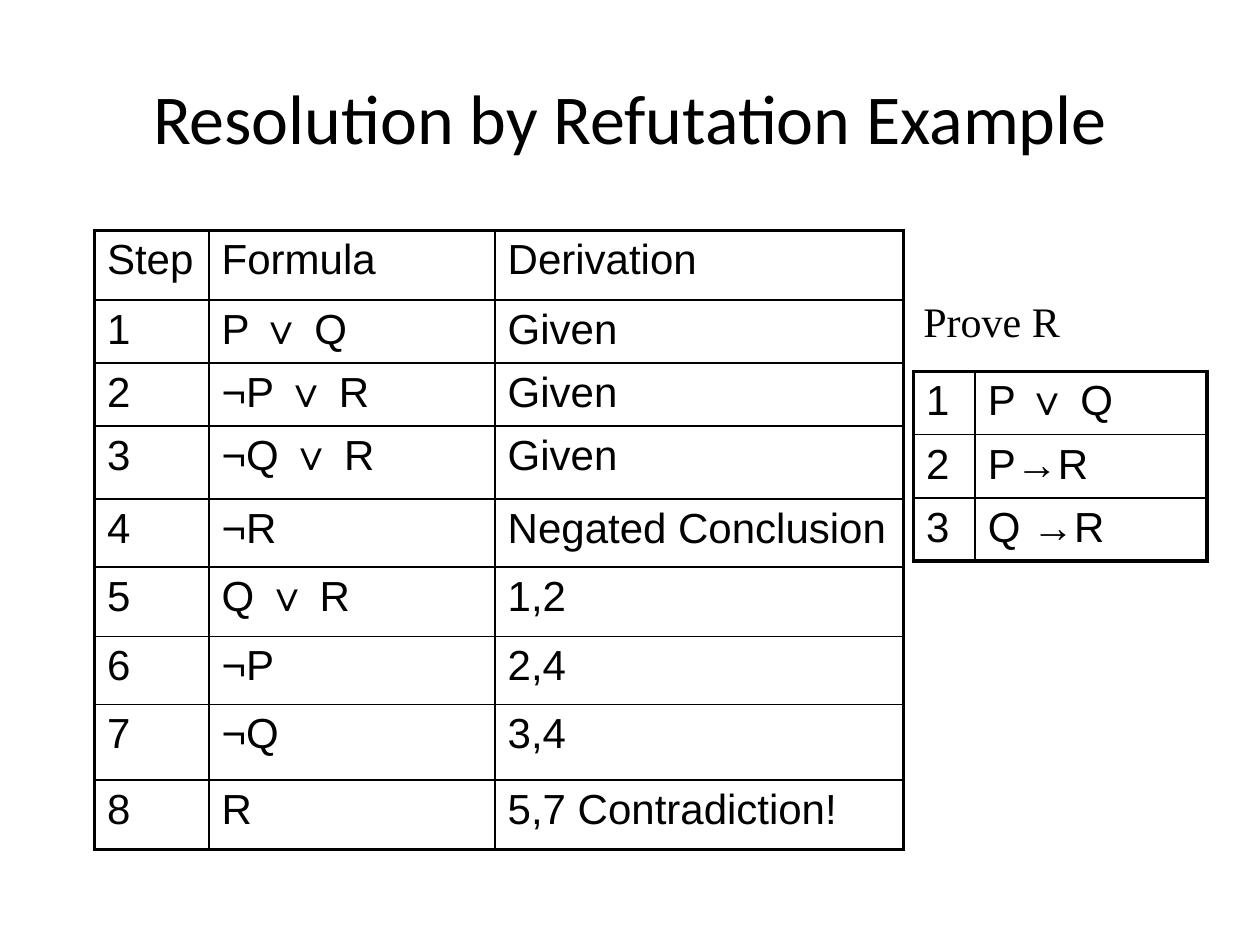
from lxml.etree import SubElement
from pptx import Presentation
from pptx.dml.color import RGBColor
from pptx.enum.text import MSO_ANCHOR, PP_ALIGN
from pptx.oxml.ns import qn
from pptx.util import Inches, Pt

BLACK = RGBColor(0, 0, 0)
THIN, THICK = Pt(1), Pt(2.25)

deck = Presentation()
deck.slide_width, deck.slide_height = Inches(10), Inches(7.5)
slide = deck.slides.add_slide(deck.slide_layouts[6])
wide, high = deck.slide_width, deck.slide_height


def write(frame, text, face, size):
    frame.text = text
    frame.word_wrap = True
    font = frame.paragraphs[0].runs[0].font
    for key, value in {"name": face, "size": Pt(size)}.items():
        setattr(font, key, value)
    font.color.rgb = BLACK


def draw_grid(left, top, cols, rows, lines):
    """Add an unfilled table with thin inner rules and a thick frame."""
    table = slide.shapes.add_table(
        len(rows), len(cols), Inches(left), Inches(top),
        Inches(sum(cols)), Inches(sum(rows))).table
    table.first_row = table.horz_banding = False
    for col, size in zip(table.columns, cols):
        col.width = Inches(size)
    for row, size in zip(table.rows, rows):
        row.height = Inches(size)
    for r, line in enumerate(lines):
        for c, text in enumerate(line):
            cell = table.cell(r, c)
            write(cell.text_frame, text, "Arial", 24)
            edges = {"L": c == 0, "R": c == len(cols) - 1,
                     "T": r == 0, "B": r == len(rows) - 1}
            props = cell._tc.get_or_add_tcPr()
            for side, outer in edges.items():
                rule = SubElement(props, qn(f"a:ln{side}"),
                                  w=str(THICK if outer else THIN))
                paint = SubElement(rule, qn("a:solidFill"))
                SubElement(paint, qn("a:srgbClr"), val=str(BLACK))
            cell.fill.background()


# Title
title = slide.shapes.add_textbox(
    int(wide * 0.05), int(high * 0.04), int(wide * 0.9), Inches(1.25)).text_frame
write(title, "Resolution by Refutation Example", "Calibri", 40)
title.vertical_anchor = MSO_ANCHOR.MIDDLE
title.paragraphs[0].alignment = PP_ALIGN.CENTER

# Proof steps
proof = [
    ("Formula", "Derivation"),
    ("P ∨ Q", "Given"),
    ("¬P ∨ R", "Given"),
    ("¬Q ∨ R", "Given"),
    ("¬R", "Negated Conclusion"),
    ("Q ∨ R", "1,2"),
    ("¬P", "2,4"),
    ("¬Q", "3,4"),
    ("R", "5,7 Contradiction!"),
]
steps = [(str(n) if n else "Step", *line) for n, line in enumerate(proof)]
draw_grid(0.75, 1.83, [0.91, 2.27, 3.24],
          [0.55, 0.48, 0.45, 0.58, 0.54, 0.55, 0.54, 0.6, 0.55], steps)

# Premises and goal
given = ["P ∨ Q", "P→R", "Q →R"]
draw_grid(7.25, 2.95, [0.49, 1.84], [0.42] * len(given),
          [(str(n), text) for n, text in enumerate(given, 1)])
goal = slide.shapes.add_textbox(
    Inches(7.23), Inches(2.3), Inches(1.28), Inches(0.5)).text_frame
write(goal, "Prove R", "Times New Roman", 24)

deck.save("out.pptx")
